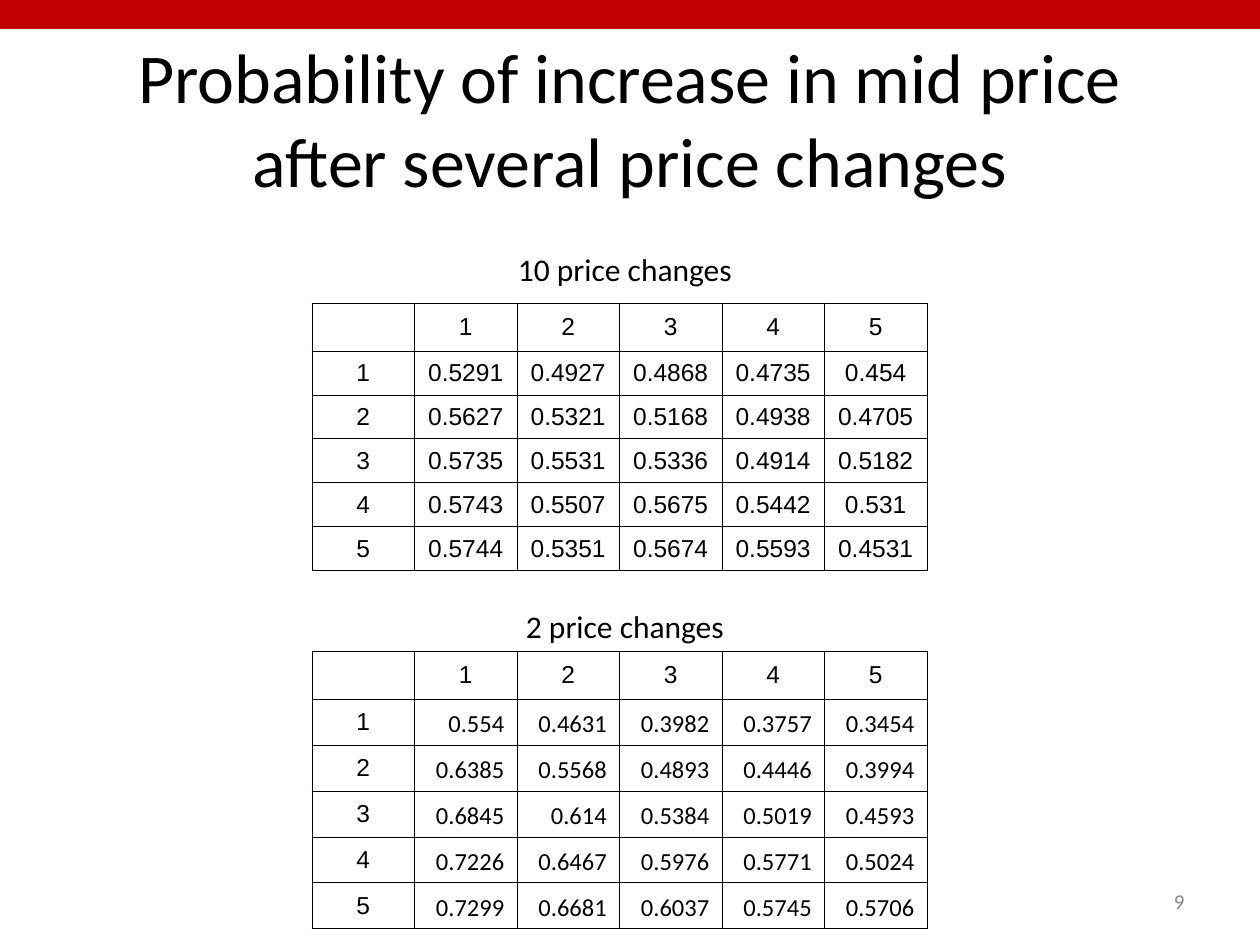
from lxml import etree
from pptx import Presentation
from pptx import util as u
from pptx.dml.color import RGBColor
from pptx.enum import shapes, text
from pptx.oxml import ns

PX = 914400 // 126
BLACK = RGBColor(0, 0, 0)
RED = RGBColor(0xC0, 0, 0)
GRAY = RGBColor(0x89, 0x89, 0x89)
LEFT, MID, RIGHT = text.PP_ALIGN.LEFT, text.PP_ALIGN.CENTER, text.PP_ALIGN.RIGHT
CENTER, LOW = text.MSO_ANCHOR.MIDDLE, text.MSO_ANCHOR.BOTTOM

deck = Presentation()
deck.slide_width, deck.slide_height = 1260 * PX, 945 * PX
slide = deck.slides.add_slide(deck.slide_layouts[6])


def write(para, words, align, size, face, color=BLACK):
    para.alignment = align
    run = para.add_run()
    run.text = words
    form = {"size": u.Pt(size), "name": face, "bold": False}
    for key, val in form.items():
        setattr(run.font, key, val)
    run.font.color.rgb = color


def edge(cell):
    """Draw a thin black line on all four sides of a cell."""
    props = cell._tc.get_or_add_tcPr()
    for tag in ("a:lnL", "a:lnR", "a:lnT", "a:lnB"):
        line = etree.SubElement(props, ns.qn(tag), w=str(u.Pt(0.45)))
        fill = etree.SubElement(line, ns.qn("a:solidFill"))
        etree.SubElement(fill, ns.qn("a:srgbClr"), val=str(BLACK))


# Tables: top, row height, alignment, anchor and face of the values, values
grids = [
    (651, 46, RIGHT, LOW, "Calibri", [
        "0.554 0.4631 0.3982 0.3757 0.3454",
        "0.6385 0.5568 0.4893 0.4446 0.3994",
        "0.6845 0.614 0.5384 0.5019 0.4593",
        "0.7226 0.6467 0.5976 0.5771 0.5024",
        "0.7299 0.6681 0.6037 0.5745 0.5706"]),
    (303, 44, MID, CENTER, "Arial", [
        "0.5291 0.4927 0.4868 0.4735 0.454",
        "0.5627 0.5321 0.5168 0.4938 0.4705",
        "0.5735 0.5531 0.5336 0.4914 0.5182",
        "0.5743 0.5507 0.5675 0.5442 0.531",
        "0.5744 0.5351 0.5674 0.5593 0.4531"]),
]
HEAD = 43
for top, high, align, anchor, face, lines in grids:
    rows = [["", *"12345"]]
    rows += [[str(n), *line.split()] for n, line in enumerate(lines, 1)]
    table = slide.shapes.add_table(
        6, 6, 312 * PX, top * PX, 615 * PX, (HEAD + 5 * high) * PX).table
    table.first_row = table.horz_banding = False
    for col in table.columns:
        col.width = 615 * PX // 6
    for r, row in enumerate(rows):
        table.rows[r].height = (high if r else HEAD) * PX
        for c, words in enumerate(row):
            cell = table.cell(r, c)
            value = r > 0 and c > 0
            edge(cell)
            cell.fill.background()
            cell.vertical_anchor = anchor if value else CENTER
            para = cell.text_frame.paragraphs[0]
            if words:
                write(para, words, align if value else MID, 14,
                      face if value else "Arial")
            else:
                end = etree.SubElement(para._p, ns.qn("a:endParaRPr"), sz="1800")
                etree.SubElement(end, ns.qn("a:latin"), typeface="Arial")

# Title, captions and page number
labels = [
    ("Probability of increase in mid price after several price changes",
     (63, 38, 1134, 158), MID, 40, BLACK),
    ("10 price changes", (372, 243, 506, 51), MID, 18, BLACK),
    ("2 price changes", (372, 600, 506, 51), MID, 18, BLACK),
    ("9", (903, 876, 294, 50), RIGHT, 12, GRAY),
]
for words, place, align, size, color in labels:
    frame = slide.shapes.add_textbox(*(n * PX for n in place)).text_frame
    frame.word_wrap = True
    frame.vertical_anchor = CENTER
    write(frame.paragraphs[0], words, align, size, "Calibri", color)

band = slide.shapes.add_shape(
    shapes.MSO_SHAPE.RECTANGLE, 0, 0, 1260 * PX, 29 * PX)
band.shadow.inherit = False
band.fill.solid()
band.fill.fore_color.rgb = RED
band.line.fill.background()

deck.save("out.pptx")
